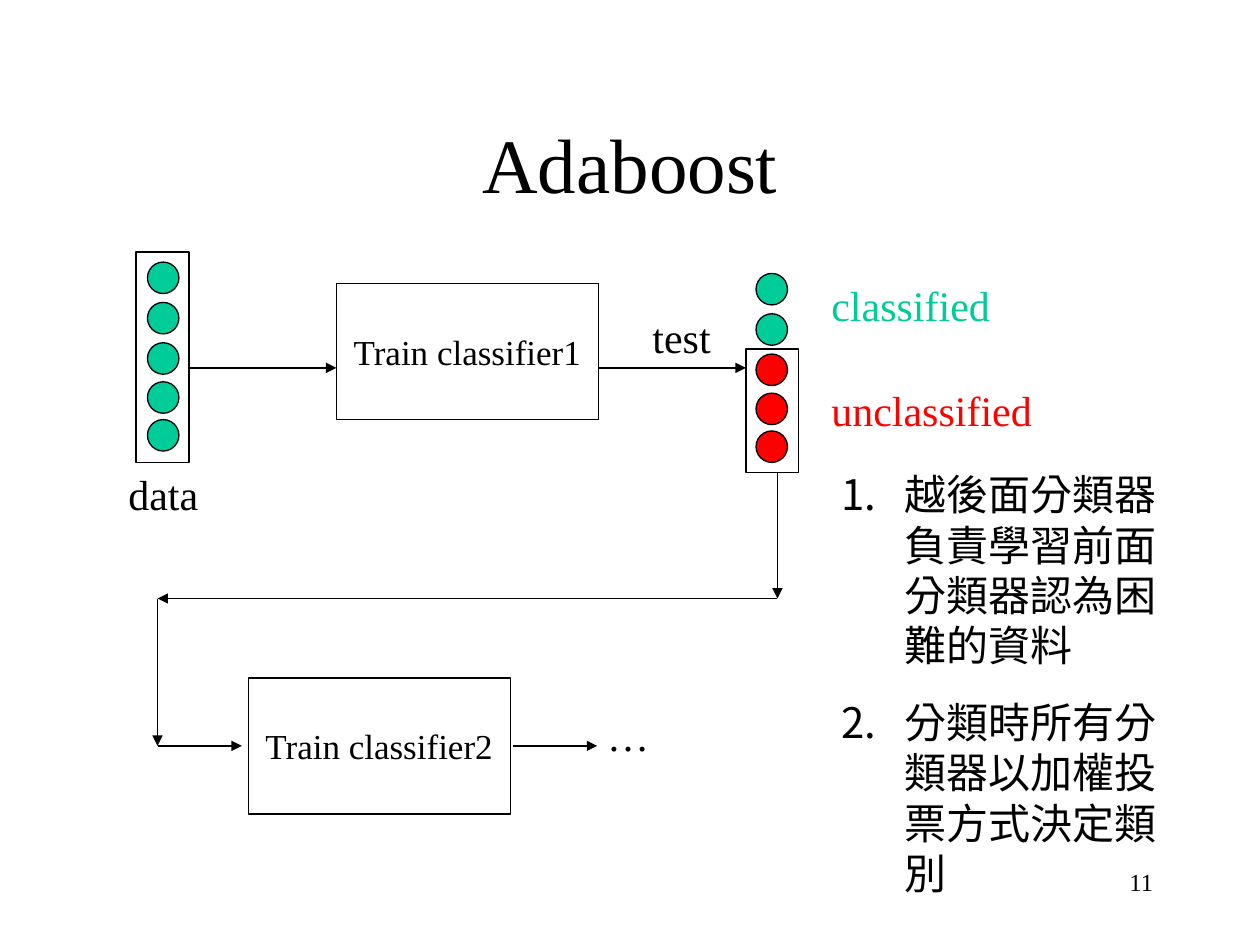
from dataclasses import dataclass

from lxml import etree
from pptx import Presentation
from pptx.dml.color import RGBColor
from pptx.enum.lang import MSO_LANGUAGE_ID
from pptx.enum.shapes import MSO_CONNECTOR, MSO_SHAPE
from pptx.enum.text import MSO_ANCHOR, PP_ALIGN
from pptx.oxml.ns import qn
from pptx.util import Inches, Pt

LEFT, CENTER, RIGHT = PP_ALIGN.LEFT, PP_ALIGN.CENTER, PP_ALIGN.RIGHT
TOP, MIDDLE = MSO_ANCHOR.TOP, MSO_ANCHOR.MIDDLE
RECT, OVAL = MSO_SHAPE.RECTANGLE, MSO_SHAPE.OVAL
STRAIGHT = MSO_CONNECTOR.STRAIGHT
CHINESE = MSO_LANGUAGE_ID.TRADITIONAL_CHINESE


@dataclass(frozen=True)
class Theme:
    font: str = "Times New Roman"
    black: RGBColor = RGBColor(0x00, 0x00, 0x00)
    green: RGBColor = RGBColor(0x00, 0xCC, 0x99)
    red: RGBColor = RGBColor(0xFF, 0x00, 0x00)
    title: int = 44
    body: int = 24
    box: int = 20
    number: int = 14
    line: float = 0.75
    gap: int = 15


class Board:
    """Draws styled elements on one slide."""

    def __init__(self, slide, theme):
        self.slide = slide
        self.theme = theme

    def set_text(self, tf, text, size, color=None, align=LEFT, anchor=TOP, wrap=True):
        tf.text = text
        tf.word_wrap = wrap
        tf.vertical_anchor = anchor
        for p in tf.paragraphs:
            p.alignment = align
            for r in p.runs:
                r.font.name = self.theme.font
                r.font.size = Pt(size)
                r.font.color.rgb = color or self.theme.black

    def title(self, text, x, y, w, h):
        sp = self.slide.shapes.title
        sp.left, sp.top, sp.width, sp.height = map(Inches, (x, y, w, h))
        self.set_text(sp.text_frame, text, self.theme.title, align=CENTER, anchor=MIDDLE)

    def label(self, text, x, y, w, h=0.5, size=None, color=None, align=LEFT):
        sp = self.slide.shapes.add_textbox(*map(Inches, (x, y, w, h)))
        self.set_text(sp.text_frame, text, size or self.theme.body, color, align)
        return sp.text_frame

    def numbered(self, items, x, y, w, h):
        tf = self.label("\n".join(items), x, y, w, h)
        for i, p in enumerate(tf.paragraphs):
            pPr = p._p.get_or_add_pPr()
            pPr.set("marL", str(Inches(0.5)))
            pPr.set("indent", str(Inches(-0.5)))
            etree.SubElement(pPr, qn("a:buAutoNum"), type="arabicPeriod")
            if i:
                p.space_before = Pt(self.theme.gap)
            for r in p.runs:
                r.font.language_id = CHINESE

    def shape(self, kind, x, y, w, h, fill=None):
        sp = self.slide.shapes.add_shape(kind, *map(Inches, (x, y, w, h)))
        sp.shadow.inherit = False
        if fill is None:
            sp.fill.background()
        else:
            sp.fill.solid()
            sp.fill.fore_color.rgb = fill
        sp.line.color.rgb = self.theme.black
        sp.line.width = Pt(self.theme.line)
        return sp

    def process(self, text, x, y):
        sp = self.shape(RECT, x, y, 2.08, 1.08)
        self.set_text(sp.text_frame, text, self.theme.box, align=CENTER,
                      anchor=MIDDLE, wrap=False)

    def samples(self, x, y, colors):
        for dy, color in zip((0, 0.32, 0.64, 0.95, 1.25), colors):
            self.shape(OVAL, x, y + dy, 0.25, 0.25, color)

    def arrow(self, start, end):
        cn = self.slide.shapes.add_connector(STRAIGHT, *map(Inches, (*start, *end)))
        cn.line.color.rgb = self.theme.black
        cn.line.width = Pt(self.theme.line)
        ln = cn._element.spPr.find(qn("a:ln"))
        etree.SubElement(ln, qn("a:tailEnd"), type="triangle")
        etree.SubElement(cn._element.spPr, qn("a:effectLst"))


def main():
    prs = Presentation()
    prs.slide_width, prs.slide_height = Inches(10), Inches(7.5)
    theme = Theme()
    s = Board(prs.slides.add_slide(prs.slide_layouts[5]), theme)

    s.title("Adaboost", 0.75, 0.67, 8.5, 1.25)

    s.shape(RECT, 1.08, 2, 0.42, 1.67)
    s.samples(1.17, 2.08, [theme.green] * 5)
    s.label("data", 0.92, 3.67, 0.92)

    s.process("Train classifier1", 2.67, 2.25)
    s.label("test", 5.08, 2.42, 0.92)

    s.shape(RECT, 5.92, 2.77, 0.42, 0.98)
    s.samples(6, 2.17, [theme.green] * 2 + [theme.red] * 3)
    s.label("classified", 6.5, 2.17, 2.33, color=theme.green)
    s.label("unclassified", 6.5, 3, 2.33, color=theme.red)

    s.process("Train classifier2", 1.97, 5.38)
    s.label("…", 4.72, 5.58, 0.92)

    feedback = [(6.17, 3.75), (6.17, 4.75), (1.25, 4.75), (1.25, 5.92), (1.92, 5.92)]
    arrows = [((1.5, 2.92), (2.67, 2.92)), ((4.75, 2.92), (5.92, 2.92)),
              *zip(feedback, feedback[1:]), ((4.07, 5.92), (4.74, 5.92))]
    for start, end in arrows:
        s.arrow(start, end)

    s.numbered(["越後面分類器負責學習前面分類器認為困難的資料",
                "分類時所有分類器以加權投票方式決定類別"], 6.58, 3.67, 2.92, 3.51)
    s.label("11", 7.17, 6.83, 2.08, size=theme.number, align=RIGHT)

    prs.save("out.pptx")


if __name__ == "__main__":
    main()
